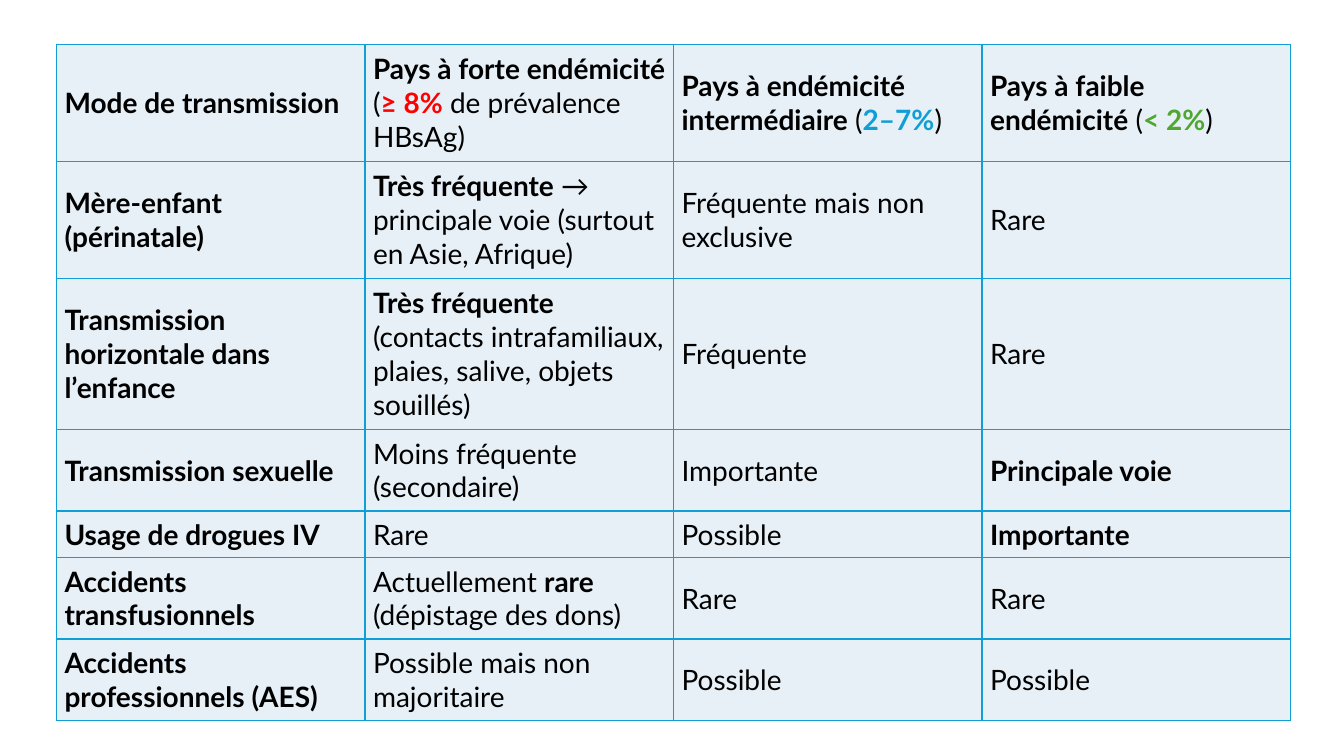
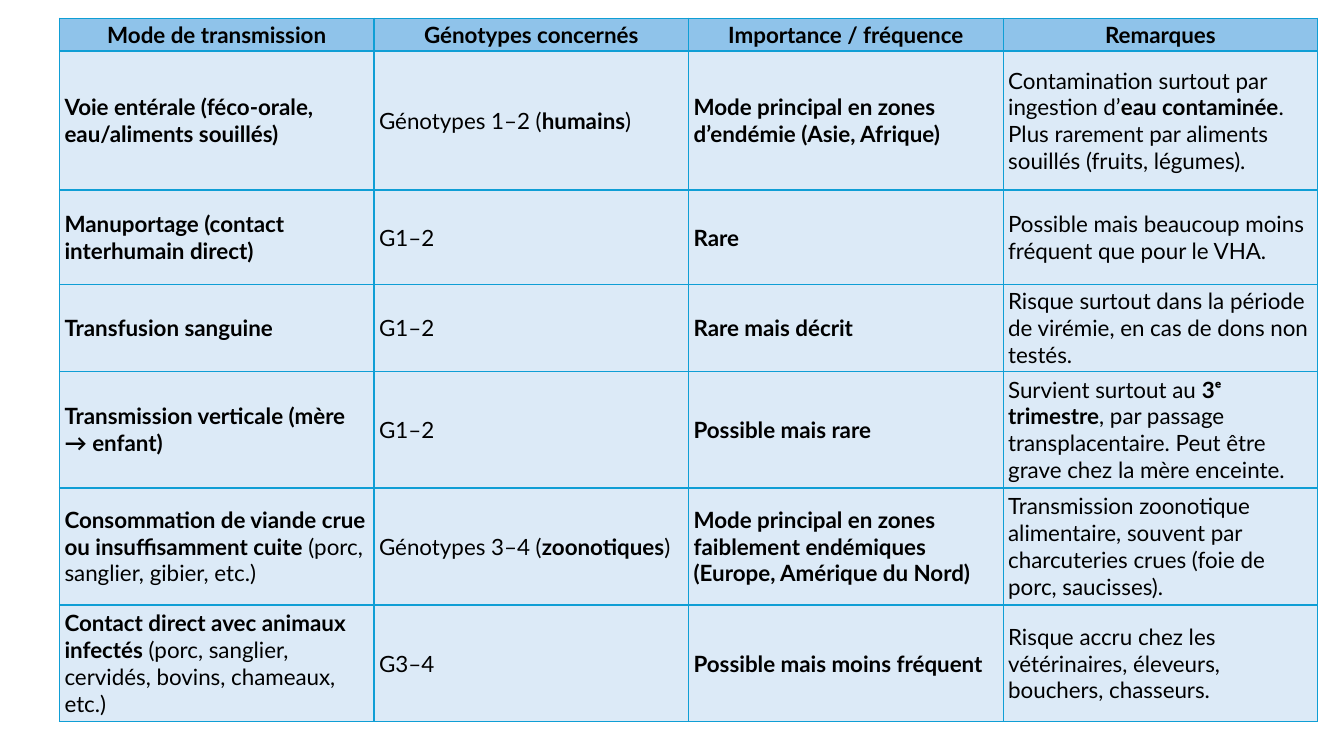
import pptx
import pptx.util
import pptx.dml.color
import pptx.enum.text
import lxml.etree

Inches = pptx.util.Inches
RGB = pptx.dml.color.RGBColor
ALIGN = pptx.enum.text.PP_ALIGN

# Shared look
FONT = "Lato"
BLACK = RGB(0x00, 0x00, 0x00)
RED = RGB(0xFF, 0x00, 0x00)
BLUE = RGB(0x0F, 0x9E, 0xD5)
GREEN = RGB(0x4E, 0xA7, 0x2E)
MIST = RGB(0xE7, 0xF0, 0xF7)
PALE = RGB(0xDC, 0xEA, 0xF7)
SKY = RGB(0x8F, 0xC3, 0xEA)
ACCENTS = {"≥ 8%": RED, "2–7%": BLUE, "< 2%": GREEN}

# Content: text between asterisks is bold
TABLES = [
    {
        "left": 0.56, "top": 0.44, "col": 3.06,
        "heights": [1.16, 1.16, 1.5, 0.81, 0.46, 0.81, 0.81],
        "size": 20, "inset": (0.08, 0.04),
        "head": MIST, "body": MIST, "align": ALIGN.LEFT,
        "rows": [
            ("*Mode de transmission*",
             "*Pays à forte endémicité* (*≥ 8%* de prévalence HBsAg)",
             "*Pays à endémicité intermédiaire* (*2–7%*)",
             "*Pays à faible endémicité* (*< 2%*)"),
            ("*Mère-enfant (périnatale)*",
             "*Très fréquente* → principale voie (surtout en Asie, Afrique)",
             "Fréquente mais non exclusive", "Rare"),
            ("*Transmission horizontale dans l’enfance*",
             "*Très fréquente* (contacts intrafamiliaux, plaies, salive, "
             "objets souillés)",
             "Fréquente", "Rare"),
            ("*Transmission sexuelle*", "Moins fréquente (secondaire)",
             "Importante", "*Principale voie*"),
            ("*Usage de drogues IV*", "Rare", "Possible", "*Importante*"),
            ("*Accidents transfusionnels*",
             "Actuellement *rare* (dépistage des dons)", "Rare", "Rare"),
            ("*Accidents professionnels (AES)*",
             "Possible mais non majoritaire", "Possible", "Possible"),
        ],
    },
    {
        "left": 0.59, "top": 0.18, "col": 3.12,
        "heights": [0.29, 1.38, 0.94, 0.72, 1.16, 1.16, 1.16],
        "size": 16, "inset": (0.05, 0.03),
        "head": SKY, "body": PALE, "align": ALIGN.CENTER,
        "rows": [
            ("*Mode de transmission*", "*Génotypes concernés*",
             "*Importance / fréquence*", "*Remarques*"),
            ("*Voie entérale (féco-orale, eau/aliments souillés)*",
             "Génotypes 1–2 (*humains*)",
             "*Mode principal en zones d’endémie (Asie, Afrique)*",
             "Contamination surtout par ingestion d’*eau contaminée*. "
             "Plus rarement par aliments souillés (fruits, légumes)."),
            ("*Manuportage (contact interhumain direct)*", "G1–2", "*Rare*",
             "Possible mais beaucoup moins fréquent que pour le VHA."),
            ("*Transfusion sanguine*", "G1–2", "*Rare mais décrit*",
             "Risque surtout dans la période de virémie, en cas de dons "
             "non testés."),
            ("*Transmission verticale (mère → enfant)*", "G1–2",
             "*Possible mais rare*",
             "Survient surtout au *3ᵉ trimestre*, par passage "
             "transplacentaire. Peut être grave chez la mère enceinte."),
            ("*Consommation de viande crue ou insuffisamment cuite* "
             "(porc, sanglier, gibier, etc.)",
             "Génotypes 3–4 (*zoonotiques*)",
             "*Mode principal en zones faiblement endémiques "
             "(Europe, Amérique du Nord)*",
             "Transmission zoonotique alimentaire, souvent par "
             "charcuteries crues (foie de porc, saucisses)."),
            ("*Contact direct avec animaux infectés* (porc, sanglier, "
             "cervidés, bovins, chameaux, etc.)",
             "G3–4", "*Possible mais moins fréquent*",
             "Risque accru chez les vétérinaires, éleveurs, bouchers, "
             "chasseurs."),
        ],
    },
]


def add_edges(cell):
    """Draw a thin blue line on the four sides of a cell."""
    props = cell._tc.get_or_add_tcPr()
    space = "{http://schemas.openxmlformats.org/drawingml/2006/main}"
    for side in ("lnL", "lnR", "lnT", "lnB"):
        line = lxml.etree.SubElement(props, space + side,
                                     w=str(pptx.util.Pt(1)))
        fill = lxml.etree.SubElement(line, space + "solidFill")
        lxml.etree.SubElement(fill, space + "srgbClr", val=str(BLUE))


def add_text(cell, text, size, align):
    """Write one paragraph; every second part is bold."""
    para = cell.text_frame.paragraphs[0]
    para.alignment = align
    for i, part in enumerate(text.split("*")):
        if part:
            run = para.add_run()
            run.text = part
            run.font.name = FONT
            run.font.size = pptx.util.Pt(size)
            run.font.bold = i % 2 == 1
            run.font.color.rgb = ACCENTS.get(part, BLACK)


def fill_cell(cell, text, data, is_head):
    side, edge = map(Inches, data["inset"])
    cell.margin_left = cell.margin_right = side
    cell.margin_top = cell.margin_bottom = edge
    cell.vertical_anchor = pptx.enum.text.MSO_ANCHOR.MIDDLE
    add_edges(cell)
    cell.fill.solid()
    cell.fill.fore_color.rgb = data["head" if is_head else "body"]
    add_text(cell, text, data["size"],
             data["align"] if is_head else ALIGN.LEFT)


def add_grid(slide, data):
    rows, high = data["rows"], data["heights"]
    count = len(rows[0])
    table = slide.shapes.add_table(
        len(rows), count, Inches(data["left"]), Inches(data["top"]),
        Inches(data["col"] * count), Inches(sum(high))).table
    table.first_row = table.horz_banding = False
    for col in table.columns:
        col.width = Inches(data["col"])
    for r, texts in enumerate(rows):
        table.rows[r].height = Inches(high[r])
        for c, text in enumerate(texts):
            fill_cell(table.cell(r, c), text, data, r == 0)


def main():
    deck = pptx.Presentation()
    deck.slide_width, deck.slide_height = Inches(13.33), Inches(7.5)
    # One table on each slide
    for data in TABLES:
        add_grid(deck.slides.add_slide(deck.slide_layouts[6]), data)
    deck.save("out.pptx")


if __name__ == "__main__":
    main()
